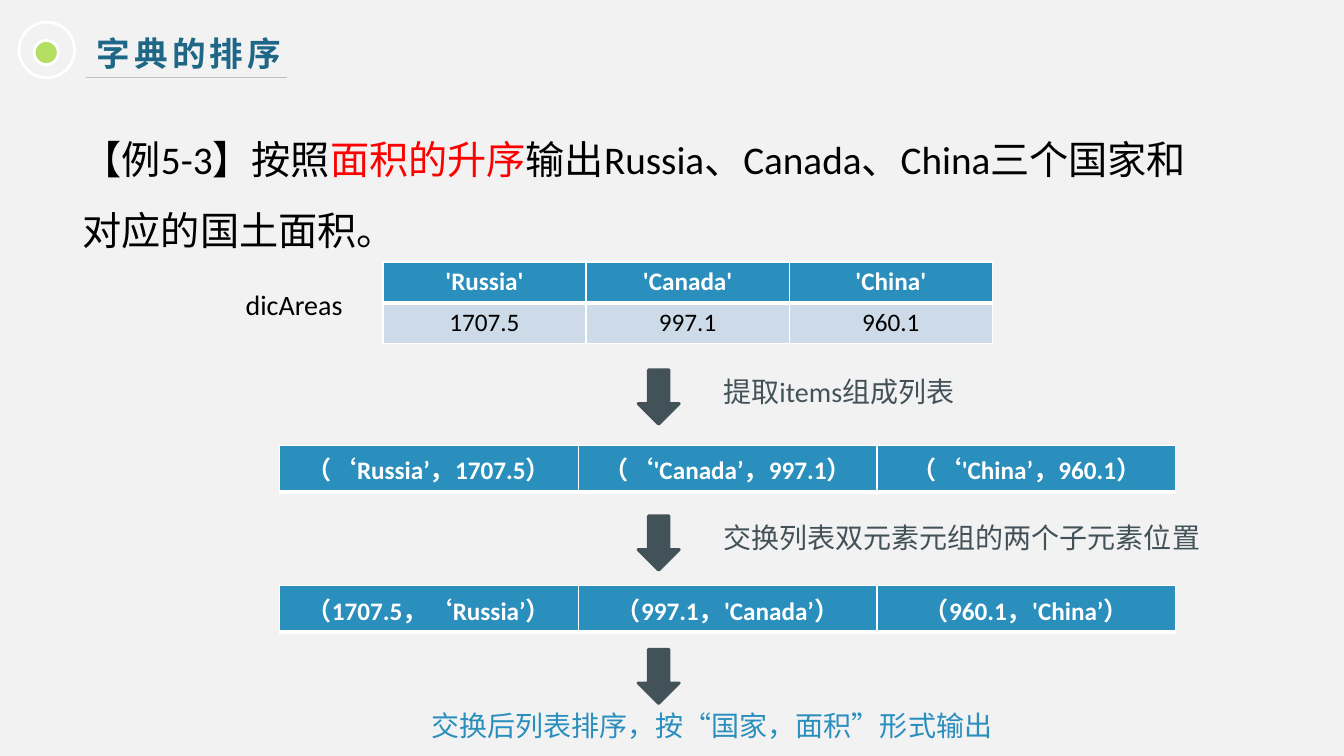
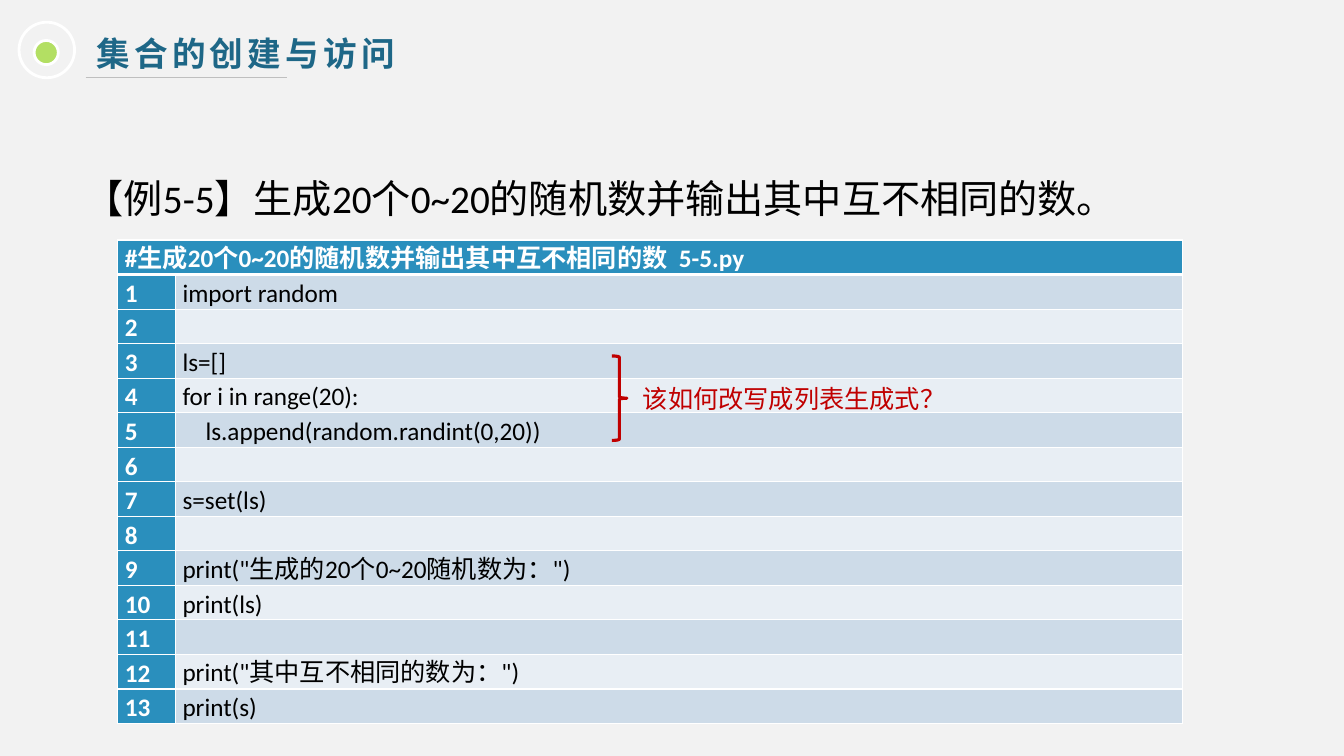
from dataclasses import dataclass

from lxml.etree import SubElement
from pptx import Presentation
from pptx.dml.color import RGBColor
from pptx.enum.shapes import MSO_CONNECTOR as Connector, MSO_SHAPE as Preset
from pptx.enum.text import MSO_ANCHOR as Anchor, MSO_AUTO_SIZE as AutoSize, PP_ALIGN as Align
from pptx.oxml.ns import qn
from pptx.util import Cm, Pt

BACKGROUND = RGBColor(0xF2, 0xF2, 0xF2)
WHITE = RGBColor(0xFF, 0xFF, 0xFF)
BLACK = RGBColor(0x00, 0x00, 0x00)
RED = RGBColor(0xFF, 0x00, 0x00)
DARK_RED = RGBColor(0xC0, 0x00, 0x00)
TITLE_BLUE = RGBColor(0x1E, 0x67, 0x87)
BLUE = RGBColor(0x2A, 0x8F, 0xBD)
BAND_DARK = RGBColor(0xCD, 0xDB, 0xE8)
BAND_LIGHT = RGBColor(0xE8, 0xEE, 0xF4)
SLATE = RGBColor(0x43, 0x52, 0x58)
GREEN = RGBColor(0xB3, 0xDF, 0x63)
RULE_GRAY = RGBColor(0xBF, 0xBF, 0xBF)

LATIN_FONT = "Calibri"
CHINESE_FONT = "Noto Sans CJK SC"


@dataclass(frozen=True)
class Box:
    """Position and size in centimetres."""
    left: float
    top: float
    width: float
    height: float

    def lengths(self) -> tuple:
        return Cm(self.left), Cm(self.top), Cm(self.width), Cm(self.height)


@dataclass(frozen=True)
class Label:
    text: str
    box: Box
    color: RGBColor
    size: int = 20
    align: Align = Align.LEFT
    anchor: Anchor = Anchor.TOP


@dataclass(frozen=True)
class TupleRow:
    top: float
    texts: tuple[str, ...]


ARROW_TOPS = (9.32, 13.0, 16.36)

LABELS = (
    Label("dicAreas", Box(5.94, 7.11, 3.1, 1.12), BLACK),
    Label("提取items组成列表", Box(17.98, ARROW_TOPS[0], 6.4, 1.12), SLATE),
    Label("交换列表双元素元组的两个子元素位置", Box(17.98, ARROW_TOPS[1], 12.65, 1.12), SLATE),
    Label("交换后列表排序，按“国家，面积”形式输出", Box(10.62, 17.73, 14.8, 1.12), BLUE),
)

TUPLE_ROWS = (
    TupleRow(11.23, ("（‘Russia’，1707.5）", "（‘'Canada’，997.1）", "（‘'China’，960.1）")),
    TupleRow(14.76, ("（1707.5，‘Russia’）", "（997.1，'Canada’）", "（960.1，'China’）")),
)

CODE_HEADING = "#生成20个0~20的随机数并输出其中互不相同的数  5-5.py"
INDENTED_LINE = 5
CODE_LINES = (
    "import random",
    "",
    "ls=[]",
    "for i in range(20):",
    "ls.append(random.randint(0,20))",
    "",
    "s=set(ls)",
    "",
    'print("生成的20个0~20随机数为：")',
    "print(ls)",
    "",
    'print("其中互不相同的数为：")',
    "print(s)",
)


def format_run(run, size: int, color: RGBColor, bold: bool = False,
               latin: str = LATIN_FONT) -> None:
    font = run.font
    font.size, font.bold, font.name = Pt(size), bold, latin
    font.color.rgb = color
    SubElement(run._r.get_or_add_rPr(), qn("a:ea"), typeface=CHINESE_FONT)


def place(shape, box: Box) -> None:
    shape.left, shape.top, shape.width, shape.height = box.lengths()


def add_preset(slide, preset: Preset, box: Box, line: RGBColor,
               fill: RGBColor | None = None, width: float = 2):
    shape = slide.shapes.add_shape(preset, *box.lengths())
    shape.shadow.inherit = False
    if fill is None:
        shape.fill.background()
    else:
        shape.fill.solid()
        shape.fill.fore_color.rgb = fill
    shape.line.color.rgb = line
    shape.line.width = Pt(width)
    return shape


def add_label(slide, label: Label) -> None:
    frame = slide.shapes.add_textbox(*label.box.lengths()).text_frame
    frame.word_wrap = True
    frame.vertical_anchor = label.anchor
    frame.text = label.text
    paragraph = frame.paragraphs[0]
    paragraph.alignment = label.align
    format_run(paragraph.runs[0], label.size, label.color)


def add_example_slide(presentation, title: str, body_box: Box,
                      statement: tuple[tuple[str, RGBColor], ...]):
    """Add a slide with the shared heading and an example statement."""
    slide = presentation.slides.add_slide(presentation.slide_layouts[1])

    # Title
    place(slide.shapes.title, Box(2.18, 0.69, 16.38, 1.27))
    frame = slide.shapes.title.text_frame
    frame.auto_size = AutoSize.NONE
    frame.vertical_anchor = Anchor.MIDDLE
    frame.text = title
    paragraph = frame.paragraphs[0]
    paragraph.alignment = Align.LEFT
    format_run(paragraph.runs[0], 24, TITLE_BLUE, True, CHINESE_FONT)
    paragraph.runs[0]._r.get_or_add_rPr().set("spc", "300")

    # Statement
    body = slide.placeholders[1]
    place(body, body_box)
    body.text_frame.auto_size = AutoSize.NONE
    paragraph = body.text_frame.paragraphs[0]
    paragraph.line_spacing = 1.5
    paragraph.space_before = Pt(0)
    properties = paragraph._p.get_or_add_pPr()
    properties.set("marL", "0")
    properties.set("indent", "0")
    SubElement(properties, qn("a:buNone"))
    for text, color in statement:
        run = paragraph.add_run()
        run.text = text
        format_run(run, 28, color)

    # Title mark and underline
    add_preset(slide, Preset.OVAL, Box(0.86, 1.02, 0.61, 0.61), WHITE, GREEN)
    add_preset(slide, Preset.OVAL, Box(0.48, 0.56, 1.4, 1.4), WHITE)
    underline = slide.shapes.add_connector(
        Connector.STRAIGHT, Cm(2.16), Cm(1.96), Cm(7.24), Cm(1.96))
    underline.line.color.rgb = RULE_GRAY
    underline.line.width = Pt(0.75)
    SubElement(underline._element.spPr, qn("a:effectLst"))
    return slide


def add_table(slide, left: float, top: float, columns: tuple[float, ...],
              row_count: int, row_height: float):
    box = Box(left, top, sum(columns), row_count * row_height)
    table = slide.shapes.add_table(row_count, len(columns), *box.lengths()).table
    table.first_row = table.horz_banding = False
    for column, width in zip(table.columns, columns):
        column.width = Cm(width)
    for row in table.rows:
        row.height = Cm(row_height)
    return table


def style_cell(table, row: int, column: int, fill: RGBColor, text: str = "",
               header: bool = False, align: Align = Align.CENTER):
    """Fill one cell; a thick white rule divides the first row from the rest."""
    cell = table.cell(row, column)
    properties = cell._tc.get_or_add_tcPr()
    widths = {"L": 1, "R": 1, "T": 3 if row == 1 else 1, "B": 3 if row == 0 else 1}
    for side, width in widths.items():
        line = SubElement(properties, qn(f"a:ln{side}"), w=str(Pt(width)))
        solid = SubElement(line, qn("a:solidFill"))
        SubElement(solid, qn("a:srgbClr"), val=str(WHITE))
    cell.fill.solid()
    cell.fill.fore_color.rgb = fill
    cell.text_frame.text = text
    paragraph = cell.text_frame.paragraphs[0]
    paragraph.alignment = align
    for run in paragraph.runs:
        format_run(run, 18, WHITE if header else BLACK, header)
    return cell


def style_code_cell(table, row: int, column: int, fill: RGBColor, text: str,
                    header: bool = False) -> None:
    cell = style_cell(table, row, column, fill, text, header, Align.JUSTIFY)
    cell.vertical_anchor = Anchor.BOTTOM
    cell.margin_left = cell.margin_right = Cm(0.18)
    cell.margin_top = cell.margin_bottom = 0
    paragraph = cell.text_frame.paragraphs[0]
    paragraph.line_spacing = Pt(12)
    if row == INDENTED_LINE and not header:
        paragraph._p.get_or_add_pPr().set("marL", str(Cm(0.58)))


def build_sorting_slide(presentation) -> None:
    slide = add_example_slide(
        presentation, "字典的排序", Box(1.83, 2.69, 29.08, 5.46),
        (("【例5-3】按照", BLACK), ("面积的升序", RED),
         ("输出Russia、Canada、China三个国家和对应的国土面积。", BLACK)))

    # Dictionary of areas
    areas = (("'Russia'", "1707.5"), ("'Canada'", "997.1"), ("'China'", "960.1"))
    table = add_table(slide, 9.65, 6.6, (5.12,) * 3, 2, 1.03)
    for column, (country, area) in enumerate(areas):
        style_cell(table, 0, column, BLUE, country, header=True)
        style_cell(table, 1, column, BAND_DARK, area)

    # Lists of tuples
    for tuple_row in TUPLE_ROWS:
        table = add_table(slide, 7.04, tuple_row.top, (7.53,) * 3, 1, 1.03)
        for column, text in enumerate(tuple_row.texts):
            cell = style_cell(table, 0, column, BLUE, text, header=True)
            cell.vertical_anchor = Anchor.MIDDLE

    # Steps
    for top in ARROW_TOPS:
        add_preset(slide, Preset.DOWN_ARROW, Box(16.08, top, 1.04, 1.37), SLATE, SLATE)
    for label in LABELS:
        add_label(slide, label)


def build_set_slide(presentation) -> None:
    slide = add_example_slide(
        presentation, "集合的创建与访问", Box(1.88, 3.66, 27.51, 1.85),
        (("【例5-5】生成20个0~20的随机数并输出其中互不相同的数。", BLACK),))

    # Program listing
    table = add_table(slide, 2.97, 6.05, (1.45, 25.37), len(CODE_LINES) + 1, 0.87)
    table.cell(0, 0).merge(table.cell(0, 1))
    style_code_cell(table, 0, 0, BLUE, CODE_HEADING, header=True)
    for number, code in enumerate(CODE_LINES, start=1):
        band = BAND_DARK if number % 2 else BAND_LIGHT
        style_code_cell(table, number, 0, BLUE, str(number), header=True)
        style_code_cell(table, number, 1, band, code)

    # Question about the loop
    add_preset(slide, Preset.RIGHT_BRACE, Box(15.42, 8.97, 0.38, 2.13), DARK_RED, width=2.25)
    add_label(slide, Label("该如何改写成列表生成式？", Box(15.75, 9.27, 8.53, 1.52),
                           DARK_RED, 18, Align.CENTER, Anchor.MIDDLE))


def main() -> None:
    presentation = Presentation()
    presentation.slide_width, presentation.slide_height = Cm(33.87), Cm(19.05)
    background = presentation.slide_master.background.fill
    background.solid()
    background.fore_color.rgb = BACKGROUND
    build_sorting_slide(presentation)
    build_set_slide(presentation)
    presentation.save("out.pptx")


if __name__ == "__main__":
    main()
